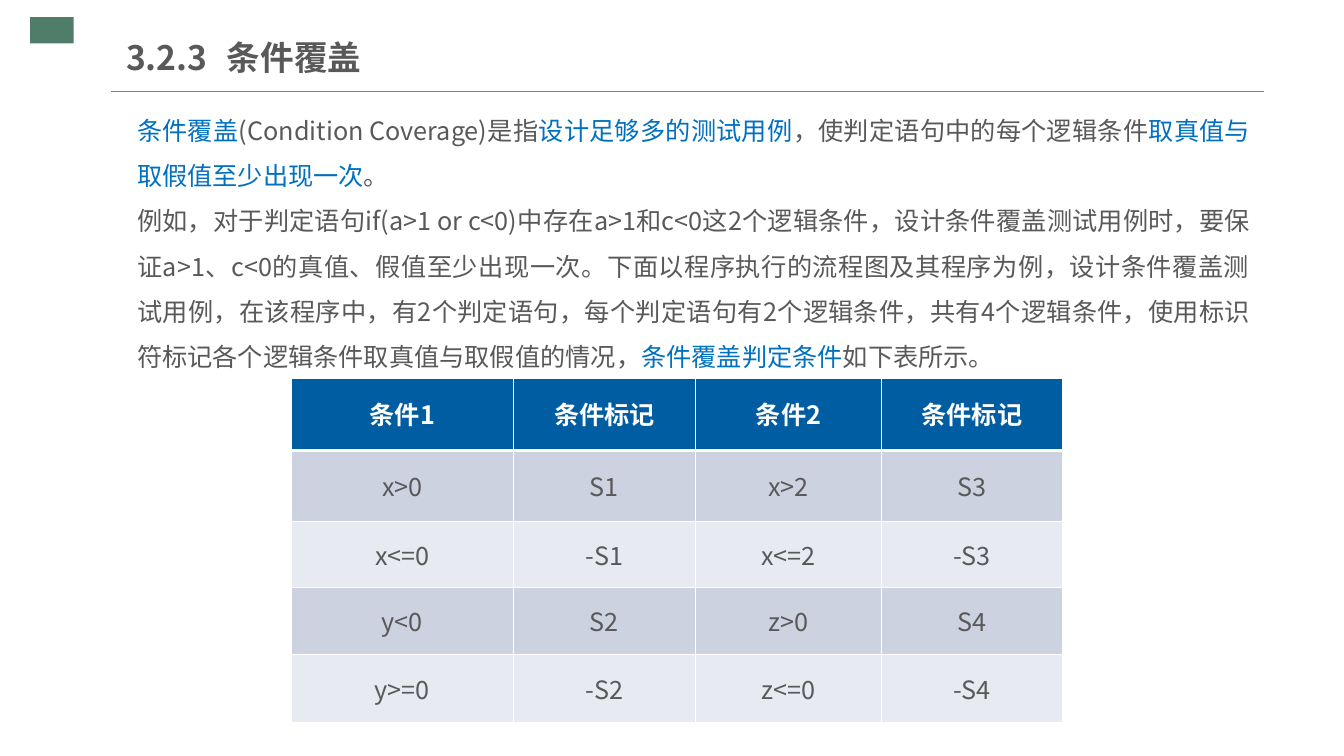
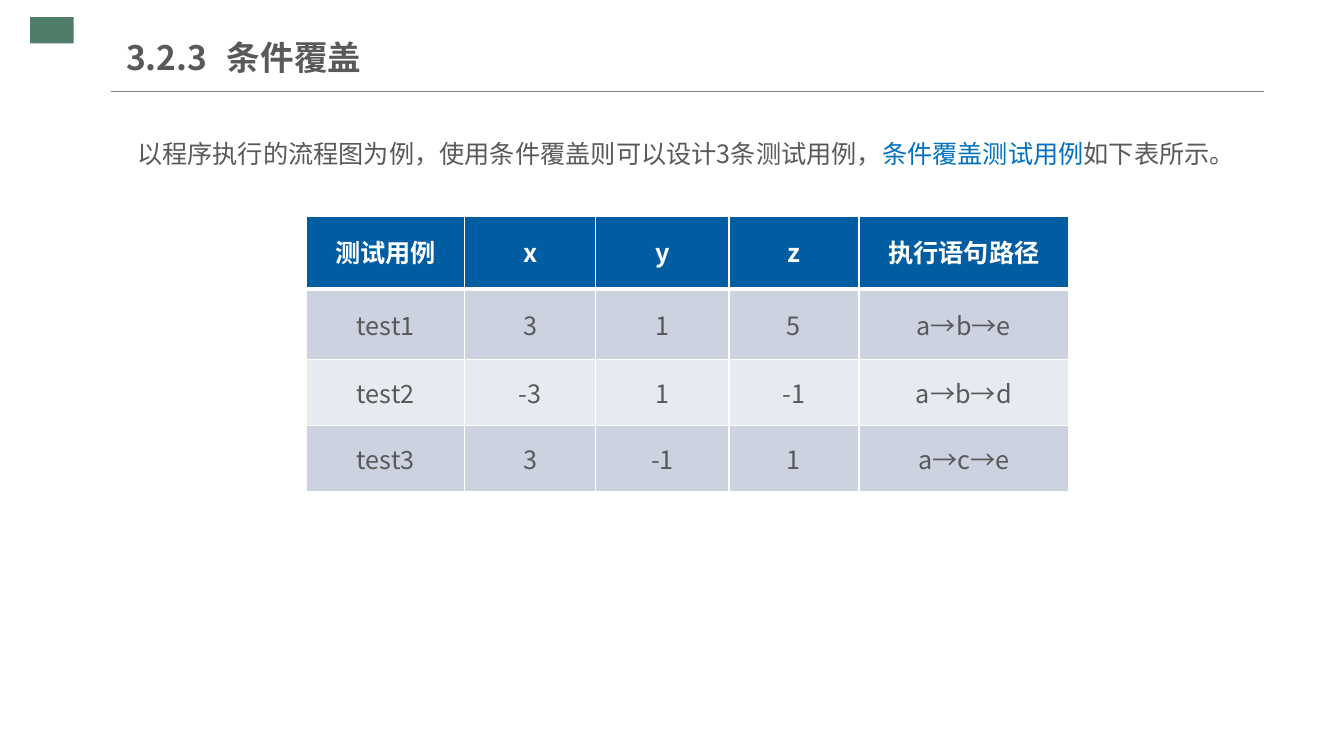
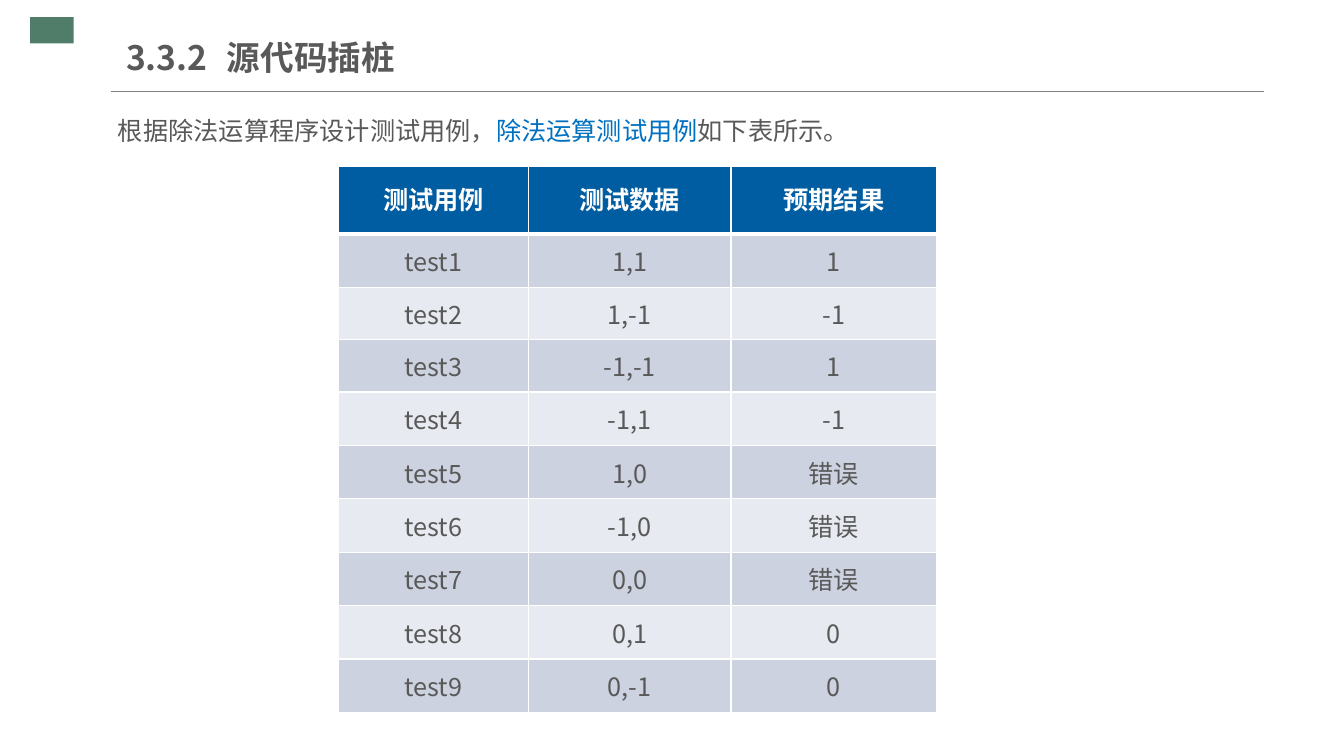
from lxml.etree import SubElement as Sub
from pptx import Presentation
from pptx.dml.color import RGBColor as RGB
from pptx.enum.shapes import MSO_CONNECTOR as LINE, MSO_SHAPE as SHAPE
from pptx.enum.text import MSO_ANCHOR as ANCHOR, MSO_AUTO_SIZE as AUTO, PP_ALIGN as ALIGN
from pptx.oxml.ns import qn
from pptx.util import Inches, Pt

# Shared look
FONT = "Noto Sans CJK SC"
HUES = {"text": "595959", "key": "0070C0", "white": "FFFFFF", "mark": "4F7D6A",
        "rule": "808080", "head": "005DA2", "odd": "CCD2E0", "even": "E7EAF0"}
TITLE = {"size": Pt(24), "bold": True}
BODY = {"size": Pt(18), "bold": False}
HEAD = {"size": Pt(18), "bold": True}
TITLE_BOX = (1.25, 0.29, 4.26, 0.55)

# Content: in "text", every second part between bars is highlighted
SLIDES = [
    {"title": "3.2.3\t条件覆盖",
     "box": (1.23, 0.92, 11.3, 2.86),
     "text": [
         "|条件覆盖|(Condition Coverage)是指|设计足够多的测试用例|，"
         "使判定语句中的每个逻辑条件|取真值与取假值至少出现一次|。",
         "例如，对于判定语句if(a>1 or c<0)中存在a>1和c<0这2个逻辑条件，"
         "设计条件覆盖测试用例时，要保证a>1、c<0的真值、假值至少出现一次。"
         "下面以程序执行的流程图及其程序为例，设计条件覆盖测试用例，在该程序中，"
         "有2个判定语句，每个判定语句有2个逻辑条件，共有4个逻辑条件，"
         "使用标识符标记各个逻辑条件取真值与取假值的情况，"
         "|条件覆盖判定条件|如下表所示。"],
     "at": (2.89, 3.75),
     "cols": [2.2, 1.81, 1.84, 1.8],
     "highs": [0.72, 0.7, 0.66, 0.66, 0.68],
     "rows": [("条件1", "条件标记", "条件2", "条件标记"),
              ("x>0", "S1", "x>2", "S3"),
              ("x<=0", "-S1", "x<=2", "-S3"),
              ("y<0", "S2", "z>0", "S4"),
              ("y>=0", "-S2", "z<=0", "-S4")]},
    {"title": "3.2.3\t条件覆盖",
     "box": (1.23, 1.15, 11.3, 0.59),
     "text": ["以程序执行的流程图为例，使用条件覆盖则可以设计3条测试用例，"
              "|条件覆盖测试用例|如下表所示。"],
     "at": (3.04, 2.15),
     "cols": [1.57, 1.3, 1.32, 1.29, 2.08],
     "highs": [0.72, 0.7, 0.65, 0.66],
     "rows": [("测试用例", "x", "y", "z", "执行语句路径"),
              ("test1", "3", "1", "5", "a→b→e"),
              ("test2", "-3", "1", "-1", "a→b→d"),
              ("test3", "3", "-1", "1", "a→c→e")]},
    {"title": "3.3.2\t源代码插桩",
     "box": (1.04, 0.92, 11.25, 0.59),
     "text": ["根据除法运算程序设计测试用例，|除法运算测试用例|如下表所示。"],
     "at": (3.36, 1.65),
     "cols": [1.88, 2.01, 2.04],
     "highs": [0.67, 0.53, 0.52, 0.52] + [0.53] * 6,
     "rows": [("测试用例", "测试数据", "预期结果"),
              ("test1", "1,1", "1"),
              ("test2", "1,-1", "-1"),
              ("test3", "-1,-1", "1"),
              ("test4", "-1,1", "-1"),
              ("test5", "1,0", "错误"),
              ("test6", "-1,0", "错误"),
              ("test7", "0,0", "错误"),
              ("test8", "0,1", "0"),
              ("test9", "0,-1", "0")]},
]


def hue(name):
    return RGB.from_string(HUES[name])


def put(obj, vals):
    for key, val in vals.items():
        setattr(obj, key, val)


def place(shape, box):
    put(shape, dict(zip(("left", "top", "width", "height"), map(Inches, box))))


def write(para, text, look, tint="text"):
    run = para.add_run()
    run.text = text
    put(run.font, look)
    run.font.color.rgb = hue(tint)
    run.font.name = FONT
    Sub(run.font._element, qn("a:ea"), typeface=FONT)


def frame(shape, side, anchor, auto):
    put(shape.text_frame, {
        "margin_left": Inches(side), "margin_right": Inches(side),
        "margin_top": Inches(0.07), "margin_bottom": Inches(0.07),
        "vertical_anchor": anchor, "word_wrap": True, "auto_size": auto})
    return shape.text_frame


# Mark and rule, held by the layout
def dress(layout, slide):
    mark = slide.shapes.add_shape(
        SHAPE.RECTANGLE, *map(Inches, (0.3, 0.17, 0.43, 0.26)))
    mark.shadow.inherit = False
    mark.fill.solid()
    mark.fill.fore_color.rgb = hue("mark")
    mark.line.fill.background()
    rule = slide.shapes.add_connector(
        LINE.STRAIGHT, *map(Inches, (1.1, 0.91, 12.54, 0.91)))
    rule.line.color.rgb = hue("rule")
    rule.line.width = Pt(0.75)
    Sub(rule._element.spPr, qn("a:effectLst"))
    for num, part in enumerate((mark, rule), 20):
        part._element.xpath(".//p:cNvPr")[0].set("id", str(num))
        layout.shapes._spTree.append(part._element)


def add_title(slide, text):
    title = slide.shapes.title
    place(title, TITLE_BOX)
    para = frame(title, 0, ANCHOR.MIDDLE, AUTO.NONE).paragraphs[0]
    tabs = Sub(para._p.get_or_add_pPr(), qn("a:tabLst"))
    Sub(tabs, qn("a:tab"), pos=str(Inches(1)), algn="l")
    para.alignment = ALIGN.LEFT
    write(para, text, TITLE)


def add_body(slide, box, texts):
    body = slide.placeholders[1]
    place(body, box)
    area = frame(body, 0.13, ANCHOR.TOP, AUTO.SHAPE_TO_FIT_TEXT)
    for num, text in enumerate(texts):
        para = area.add_paragraph() if num else area.paragraphs[0]
        props = para._p.get_or_add_pPr()
        put_xml = {"marL": "0", "indent": "0"}
        for key, val in put_xml.items():
            props.set(key, val)
        Sub(props, qn("a:buNone"))
        put(para, {"alignment": ALIGN.JUSTIFY, "line_spacing": 1.5,
                   "space_before": Pt(0)})
        for pos, part in enumerate(text.split("|")):
            if part:
                write(para, part, BODY, "key" if pos % 2 else "text")


def edge(cell, row):
    wide = {"T": 3 if row == 1 else 1, "B": 3 if row == 0 else 1}
    for side in "LRTB":
        line = Sub(cell._tc.get_or_add_tcPr(), qn("a:ln" + side),
                   w=str(Pt(wide.get(side, 1))))
        Sub(Sub(line, qn("a:solidFill")), qn("a:srgbClr"), val=HUES["white"])


def add_grid(slide, at, cols, highs, rows):
    box = (*at, sum(cols), sum(highs))
    grid = slide.shapes.add_table(len(rows), len(cols), *map(Inches, box)).table
    grid.horz_banding = False
    for col, wide in zip(grid.columns, cols):
        col.width = Inches(wide)
    for row, high in enumerate(highs):
        grid.rows[row].height = Inches(high)
        fill = ("odd" if row % 2 else "even") if row else "head"
        for col, text in enumerate(rows[row]):
            cell = grid.cell(row, col)
            edge(cell, row)
            cell.fill.solid()
            cell.fill.fore_color.rgb = hue(fill)
            cell.vertical_anchor = ANCHOR.MIDDLE
            para = cell.text_frame.paragraphs[0]
            put(para, {"alignment": ALIGN.CENTER,
                       "line_spacing": 1.0 if row else 0.9})
            write(para, text, BODY if row else HEAD, "text" if row else "white")


def main():
    deck = Presentation()
    put(deck, {"slide_width": Inches(13.33), "slide_height": Inches(7.5)})
    layout = deck.slide_layouts[1]
    for num, item in enumerate(SLIDES):
        slide = deck.slides.add_slide(layout)
        if num == 0:
            dress(layout, slide)
        add_title(slide, item["title"])
        add_body(slide, item["box"], item["text"])
        add_grid(slide, item["at"], item["cols"], item["highs"], item["rows"])
    deck.save("out.pptx")


if __name__ == "__main__":
    main()
